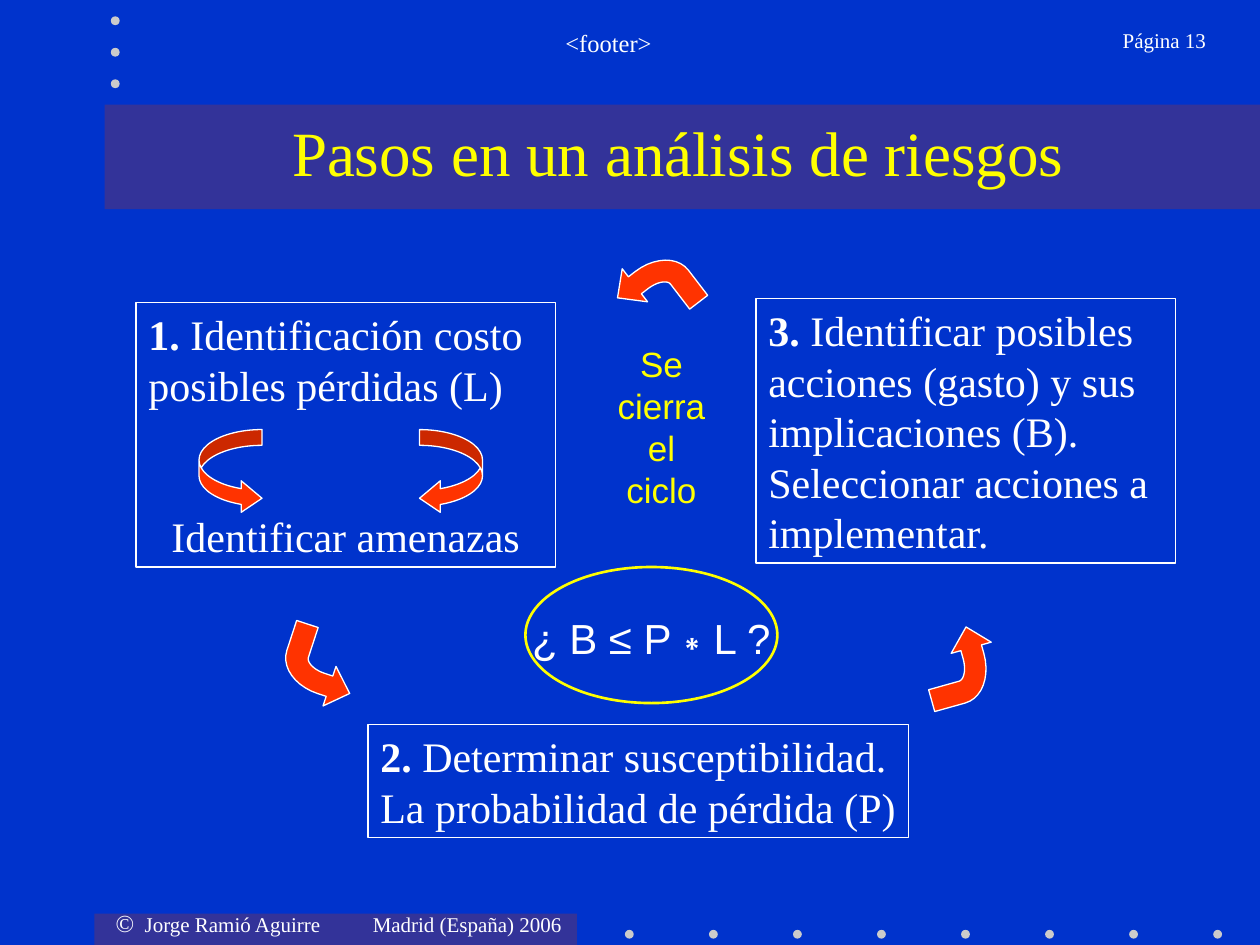
from lxml import etree
from pptx import Presentation
from pptx.dml.color import RGBColor
from pptx.enum import shapes, text
from pptx.oxml import ns
from pptx.util import Inches, Pt

COLORS = {"bg": "0033CC", "band": "333399", "dot": "CBCBCB", "text": "FFFFFF",
          "accent": "FFFF00", "arrow": "FF3300"}
SERIF, SANS = "Times New Roman", "Arial"
SHAPE = shapes.MSO_SHAPE
ALIGN = text.PP_ALIGN
MIDDLE = text.MSO_ANCHOR.MIDDLE

# Bent arrow in a 0.58 inch square: a tuple is a line end, a list is a Bezier curve
BENT_ARROW = [(0, 0), (0, .25), [(0, .39), (.15, .5), (.34, .5)], (.41, .5), (.41, .58),
              (.58, .42), (.41, .25), (.41, .33), (.34, .33),
              [(.25, .33), (.18, .29), (.18, .25)], (.18, 0)]


def rgb(name):
    return RGBColor.from_string(COLORS[name])


def style(sp, fill=None, line=None, width=0.75):
    sp.shadow.inherit = False
    if fill:
        sp.fill.solid()
        sp.fill.fore_color.rgb = rgb(fill)
    else:
        sp.fill.background()
    if line:
        sp.line.color.rgb = rgb(line)
        sp.line.width = Pt(width)
    else:
        sp.line.fill.background()


def add_shape(s, kind, box, **look):
    sp = s.shapes.add_shape(kind, *map(Inches, box))
    style(sp, **look)
    return sp


def add_textbox(s, box):
    return s.shapes.add_textbox(*map(Inches, box))


def write(sp, paras, size=24, font=SERIF, color="text", align=ALIGN.LEFT,
          anchor=text.MSO_ANCHOR.TOP, wrap=True, bottom=0.05, tabs=()):
    """Each paragraph is a list of runs: (text, options)."""
    tf = sp.text_frame
    tf.word_wrap = wrap
    tf.vertical_anchor = anchor
    tf.margin_left = tf.margin_right = Inches(0.1)
    tf.margin_top, tf.margin_bottom = Inches(0.05), Inches(bottom)
    for i, runs in enumerate(paras):
        p = tf.paragraphs[0] if i == 0 else tf.add_paragraph()
        p.alignment = align
        if tabs:
            tab_list = etree.SubElement(p._p.get_or_add_pPr(), ns.qn("a:tabLst"))
            for pos in tabs:
                etree.SubElement(tab_list, ns.qn("a:tab"), pos=str(Inches(pos)), algn="l")
        for words, opts in runs:
            r = p.add_run()
            r.text = words
            r.font.name = font
            r.font.size = Pt(opts.get("size", size))
            r.font.bold = opts.get("bold", False)
            r.font.color.rgb = rgb(color)
    return tf


def plain(words):
    return [(words, {})]


def step(number, words):
    return [(number, {"bold": True}), (words, {})]


def dots(s, left, top, count, dx=0.0, dy=0.0):
    for i in range(count):
        add_shape(s, SHAPE.OVAL, (left + i * dx, top + i * dy, 0.07, 0.07), fill="dot")


def bezier(start, curve, steps=10):
    pts = [start, *curve]
    for i in range(1, steps + 1):
        t = i / steps
        weights = ((1 - t) ** 3, 3 * t * (1 - t) ** 2, 3 * t * t * (1 - t), t ** 3)
        yield tuple(sum(w * pt[axis] for w, pt in zip(weights, pts)) for axis in (0, 1))


def bent_arrow(s, left, top, rotation):
    pts = [BENT_ARROW[0]]
    for part in BENT_ARROW[1:]:
        pts.extend(bezier(pts[-1], part) if isinstance(part, list) else [part])
    pts = [(Inches(left + x), Inches(top + y)) for x, y in pts]
    builder = s.shapes.build_freeform(*pts[0], scale=1.0)
    builder.add_line_segments(pts[1:], close=True)
    sp = builder.convert_to_shape()
    style(sp, fill="arrow", line="text")
    sp.rotation = rotation


def curved_arrow(s, kind, box):
    sp = add_shape(s, kind, box, fill="arrow", line="text")
    sp.adjustments[2] = 0.33


def frame(s):
    # Bands and dots
    add_shape(s, SHAPE.RECTANGLE, (0.75, 7.25, 3.83, 0.25), fill="band")
    dots(s, 4.96, 7.38, 8, dx=0.667)
    add_shape(s, SHAPE.RECTANGLE, (0.83, 0.83, 9.17, 0.83), fill="band")
    dots(s, 0.88, 0.13, 3, dy=0.25)
    # Header and footer texts
    credit = [("©", {"size": 14}), ("\tJorge Ramió Aguirre\tMadrid (España) 2006", {})]
    write(add_textbox(s, (0.82, 7.16, 3.75, 0.34)), [credit], size=12, wrap=False,
          tabs=(0.23, 2.04))
    write(add_textbox(s, (1.58, 0.17, 6.5, 0.5)), [plain("<footer>")], size=14,
          align=ALIGN.CENTER)
    write(add_textbox(s, (8.3, 0.17, 1.37, 0.5)), [plain("Página 13")], size=12,
          align=ALIGN.RIGHT)


def title(s, box, words):
    sp = s.shapes.title
    sp.left, sp.top, sp.width, sp.height = map(Inches, box)
    write(sp, [plain(words)], size=36, color="accent", align=ALIGN.CENTER, anchor=MIDDLE)
    # Bring the title in front of its band
    s.shapes._spTree.append(sp._element)


def step_box(s, box, paras, wrap=True):
    sp = add_shape(s, SHAPE.RECTANGLE, box, line="text")
    return write(sp, paras, anchor=MIDDLE, wrap=wrap)


def losses_step(s, box):
    left, top, width, _ = box
    tf = step_box(s, box, [step("1.", " Identificación costo posibles pérdidas (L)"),
                           plain("Identificar amenazas")])
    threats = tf.paragraphs[1]
    threats.alignment = ALIGN.CENTER
    threats.space_before = Pt(57.6)
    # Pair of arrows between losses and threats
    for kind, dx in ((SHAPE.CURVED_RIGHT_ARROW, 0.5), (SHAPE.CURVED_LEFT_ARROW, width - 1.08)):
        curved_arrow(s, kind, (left + dx, top + 1.01, 0.5, 0.67))


def cycle(s):
    # Steps
    losses_step(s, (1.08, 2.4, 3.33, 2.1))
    step_box(s, (2.92, 5.75, 4.29, 0.9),
             [step("2.", " Determinar susceptibilidad."),
              plain("La probabilidad de pérdida (P)")], wrap=False)
    step_box(s, (6, 2.37, 3.33, 2.1),
             [step("3.", " Identificar posibles acciones (gasto) y sus implicaciones (B)."),
              plain("Seleccionar acciones a implementar.")])
    # Arrows from step to step
    for left, top, rotation in ((7.33, 5, 254.4), (2.25, 5, 18.1), (4.92, 2, 142.5)):
        bent_arrow(s, left, top, rotation)
    # Question and closing note
    sp = add_shape(s, SHAPE.OVAL, (4.17, 4.5, 2, 1.08), line="accent", width=1.5)
    write(sp, [plain("¿ B ≤ P∗L ?")], font=SANS, align=ALIGN.CENTER, anchor=MIDDLE,
          wrap=False, bottom=0)
    write(add_textbox(s, (4.75, 2.67, 1, 1.39)), [plain("Se cierra el ciclo")], size=20,
          font=SANS, color="accent", align=ALIGN.CENTER, bottom=0)


def main():
    prs = Presentation()
    prs.slide_width, prs.slide_height = Inches(10), Inches(7.5)
    s = prs.slides.add_slide(prs.slide_layouts[5])
    s.background.fill.solid()
    s.background.fill.fore_color.rgb = rgb("bg")
    frame(s)
    title(s, (0.92, 0.83, 8.92, 0.75), "Pasos en un análisis de riesgos")
    cycle(s)
    prs.save("out.pptx")


if __name__ == "__main__":
    main()
